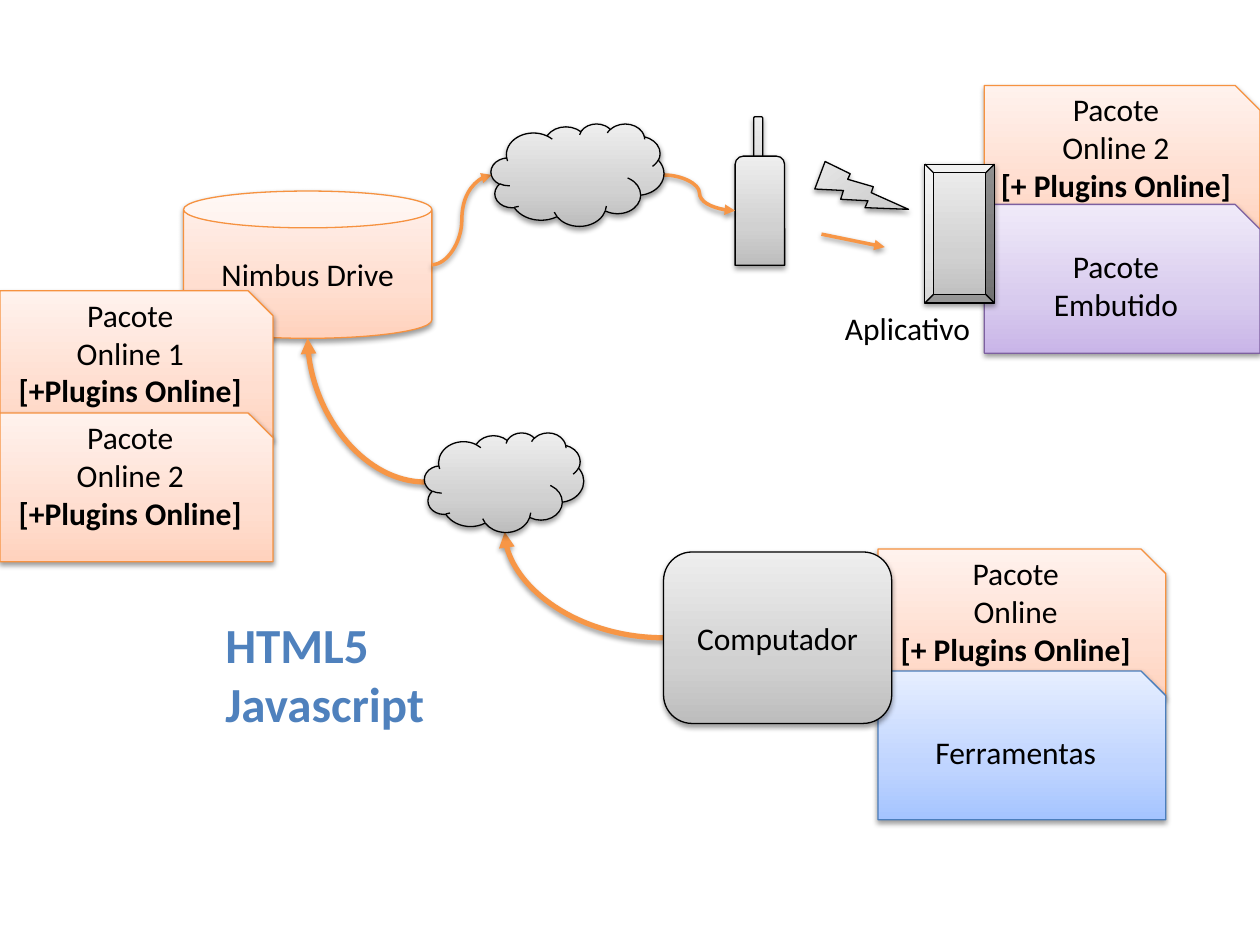
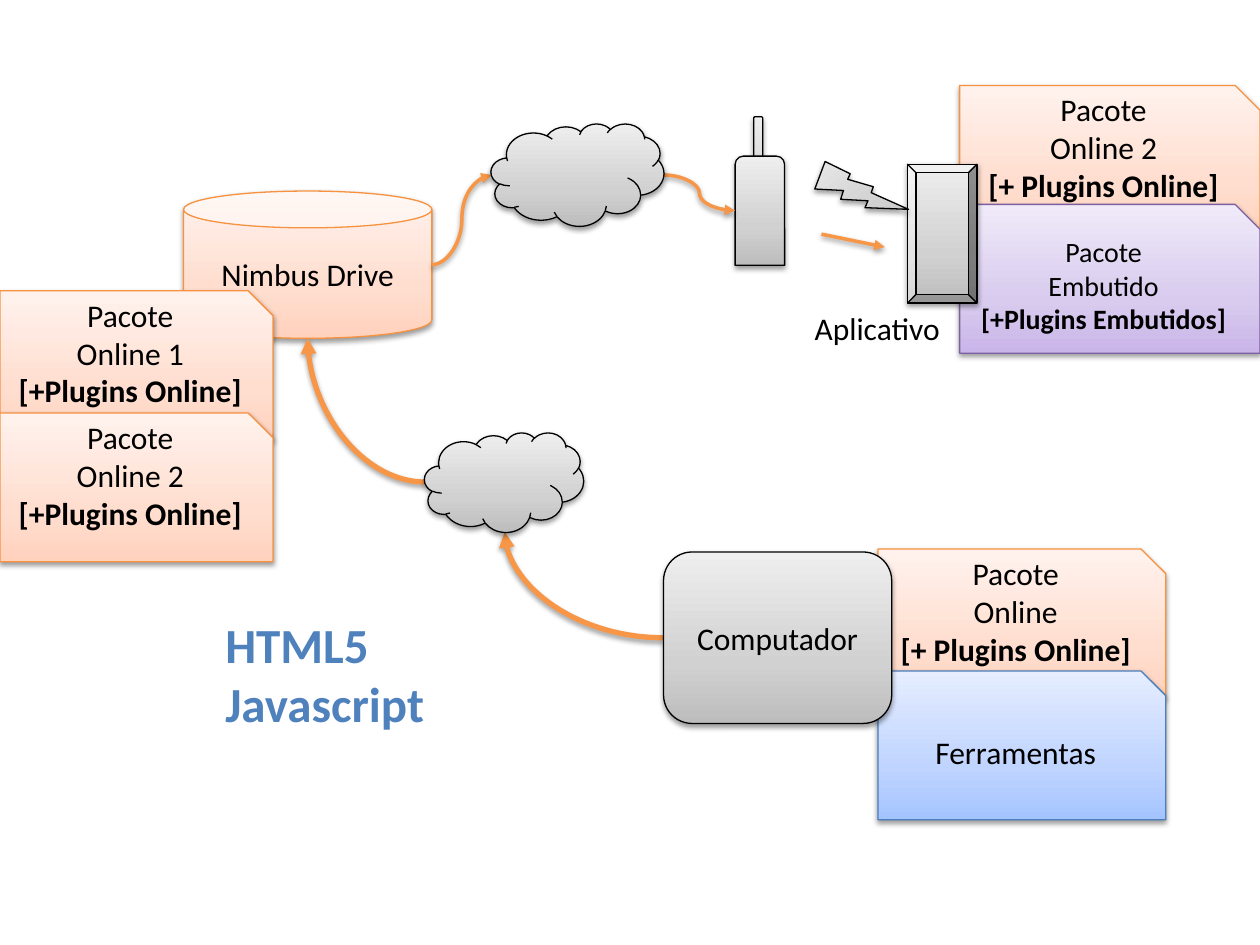
from lxml import etree
from pptx import Presentation
from pptx.dml.color import RGBColor
from pptx.enum.shapes import MSO_CONNECTOR, MSO_SHAPE
from pptx.enum.text import MSO_ANCHOR, MSO_AUTO_SIZE, PP_ALIGN
from pptx.oxml.ns import qn
from pptx.util import Pt

CURVE, STRAIGHT = MSO_CONNECTOR.CURVE, MSO_CONNECTOR.STRAIGHT
CARD = MSO_SHAPE.SNIP_1_RECTANGLE
CAN = MSO_SHAPE.CAN
BEVEL = MSO_SHAPE.BEVEL
ROUND_TOP = MSO_SHAPE.ROUND_2_SAME_RECTANGLE
BOLT = MSO_SHAPE.LIGHTNING_BOLT
ROUNDED = MSO_SHAPE.ROUNDED_RECTANGLE
CLOUD = MSO_SHAPE.CLOUD
CENTER, LEFT = PP_ALIGN.CENTER, PP_ALIGN.LEFT
MIDDLE = MSO_ANCHOR.MIDDLE

FONT = "Calibri"
BLACK = RGBColor(0x00, 0x00, 0x00)
TITLE_BLUE = RGBColor(0x4F, 0x81, 0xBD)
ARROW_ORANGE = RGBColor(0xF7, 0x96, 0x46)
ORANGE = [RGBColor(0xF6, 0x92, 0x40), RGBColor(0xFF, 0xD2, 0xBD),
          RGBColor(0xFF, 0xDE, 0xD0), RGBColor(0xFF, 0xF2, 0xED)]
PURPLE = [RGBColor(0x7D, 0x60, 0xA0), RGBColor(0xC9, 0xB5, 0xE8),
          RGBColor(0xD8, 0xCB, 0xEE), RGBColor(0xF0, 0xEA, 0xF9)]
BLUE = [RGBColor(0x4B, 0x7E, 0xBC), RGBColor(0xA4, 0xC4, 0xFF),
        RGBColor(0xBF, 0xD4, 0xFF), RGBColor(0xE6, 0xEE, 0xFF)]
GRAY = [BLACK, RGBColor(0xBD, 0xBD, 0xBD),
        RGBColor(0xD1, 0xD1, 0xD1), RGBColor(0xEE, 0xEE, 0xEE)]
STOPS = ["0", "35000", "100000"]

CARD_HEIGHT = 85
LINE_HEIGHT = 21.6
INSET = 3.6


def write_text(frame, lines, size=18, color=BLACK, bold=False, align=CENTER):
    for index, line in enumerate(lines):
        para = frame.paragraphs[0] if index == 0 else frame.add_paragraph()
        para.alignment = align
        span = para.add_run()
        span.text = line
        span.font.name = FONT
        span.font.size = Pt(size)
        span.font.color.rgb = color
        span.font.bold = bold or line.startswith("[")


deck = Presentation()
deck.slide_width, deck.slide_height = Pt(720), Pt(540)

variants = [
    {"package_left": 562.5, "device_left": 528.5, "label_left": 475.7,
     "embedded": ["Pacote", "Embutido"], "embedded_size": 18},
    {"package_left": 548.4, "device_left": 518.5, "label_left": 458.4,
     "embedded": ["Pacote", "Embutido", "[+Plugins Embutidos]"], "embedded_size": 16},
]

for variant in variants:
    page = deck.slides.add_slide(deck.slide_layouts[6])
    package_left = variant["package_left"]
    package_width = 720 - package_left
    figures = [
        (CARD, (package_left, 48.8, package_width, CARD_HEIGHT), ORANGE,
         ["Pacote", "Online 2", "[+ Plugins Online]"]),
        (CARD, (501.7, 313.7, 164.5, CARD_HEIGHT), ORANGE,
         ["Pacote", "Online", "[+ Plugins Online]"]),
        (CARD, (package_left, 116.8, package_width, CARD_HEIGHT), PURPLE,
         variant["embedded"]),
        (CAN, (104.9, 109.2, 141.9, 84.2), ORANGE, ["Nimbus Drive"]),
        (BEVEL, (variant["device_left"], 93.8, 39.8, 79.4), GRAY, []),
        (ROUND_TOP, (430.7, 66.7, 5.2, 62.4), GRAY, []),
        (ROUND_TOP, (420.1, 89.2, 28.3, 62.4), GRAY, []),
        (CURVE, (379.2, 364.5, 288.4, 304), 3, []),
        (CURVE, (243, 275.5, 175.8, 193.3), 3, []),
        (CURVE, (246.8, 151.3, 281, 100), 2, []),
        (CURVE, (379.3, 100, 420.1, 120.4), 2, []),
        (BOLT, (471.7, 85, 36, 50.4), GRAY, []),
        (CARD, (501.7, 383.4, 164.5, CARD_HEIGHT), BLUE, ["Ferramentas"]),
        (ROUNDED, (379.2, 315.4, 130.4, 98), GRAY, ["Computador"]),
        (STRAIGHT, (469.4, 133.8, 505.6, 141.2), 2, []),
        (CARD, (0, 166.2, 156, CARD_HEIGHT), ORANGE,
         ["Pacote", "Online 1", "[+Plugins Online]"]),
        (CARD, (0, 236, 156, CARD_HEIGHT), ORANGE,
         ["Pacote", "Online 2", "[+Plugins Online]"]),
        (CLOUD, (280.6, 70.7, 98.8, 58.5), GRAY, []),
        (CLOUD, (242.6, 247.2, 91, 56.9), GRAY, []),
    ]

    for kind, place, style, lines in figures:
        corners = [Pt(length) for length in place]
        if kind in (CURVE, STRAIGHT):
            figure = page.shapes.add_connector(kind, *corners)
            figure.line.color.rgb = ARROW_ORANGE
            figure.line.width = Pt(style)
            etree.SubElement(figure.line._get_or_add_ln(), qn("a:tailEnd"), type="triangle")
            if style == 3:
                figure._element.spPr.find(qn("a:prstGeom")).set("prst", "curvedConnector2")
        else:
            figure = page.shapes.add_shape(kind, *corners)
            figure.line.color.rgb = style[0]
            figure.line.width = Pt(0.75)
            figure.fill.gradient()
            figure.fill.gradient_angle = 90
            stops = figure._element.spPr.find(qn("a:gradFill")).find(qn("a:gsLst"))
            for old_stop in list(stops):
                stops.remove(old_stop)
            for position, color in zip(STOPS, style[1:]):
                stop = etree.SubElement(stops, qn("a:gs"), pos=position)
                etree.SubElement(stop, qn("a:srgbClr"), val=str(color))
            if kind == BOLT:
                figure.rotation = 323.3
            if lines:
                frame = figure.text_frame
                frame.word_wrap = True
                frame.vertical_anchor = MIDDLE
                if style is ORANGE and kind == CARD:
                    frame.margin_bottom = Pt(INSET + LINE_HEIGHT)
                size = variant["embedded_size"] if style is PURPLE else 18
                write_text(frame, lines, size=size)

        effects = etree.SubElement(figure._element.spPr, qn("a:effectLst"))
        shadow = etree.SubElement(effects, qn("a:outerShdw"), blurRad=str(Pt(3.1)),
                                  dist=str(Pt(1.6)), dir="5400000", rotWithShape="0")
        shade = etree.SubElement(shadow, qn("a:srgbClr"), val=str(BLACK))
        etree.SubElement(shade, qn("a:alpha"), val="38000")

    labels = [
        ((variant["label_left"], 172.8, 87.1, 29.1), ["Aplicativo"], 18, BLACK, False),
        ((121.7, 347.8, 129.6, 75), ["HTML5", "Javascript"], 28, TITLE_BLUE, True),
    ]
    for place, lines, size, color, bold in labels:
        box = page.shapes.add_textbox(*[Pt(length) for length in place])
        box.text_frame.word_wrap = False
        box.text_frame.auto_size = MSO_AUTO_SIZE.SHAPE_TO_FIT_TEXT
        write_text(box.text_frame, lines, size=size, color=color, bold=bold, align=LEFT)

deck.save("out.pptx")
